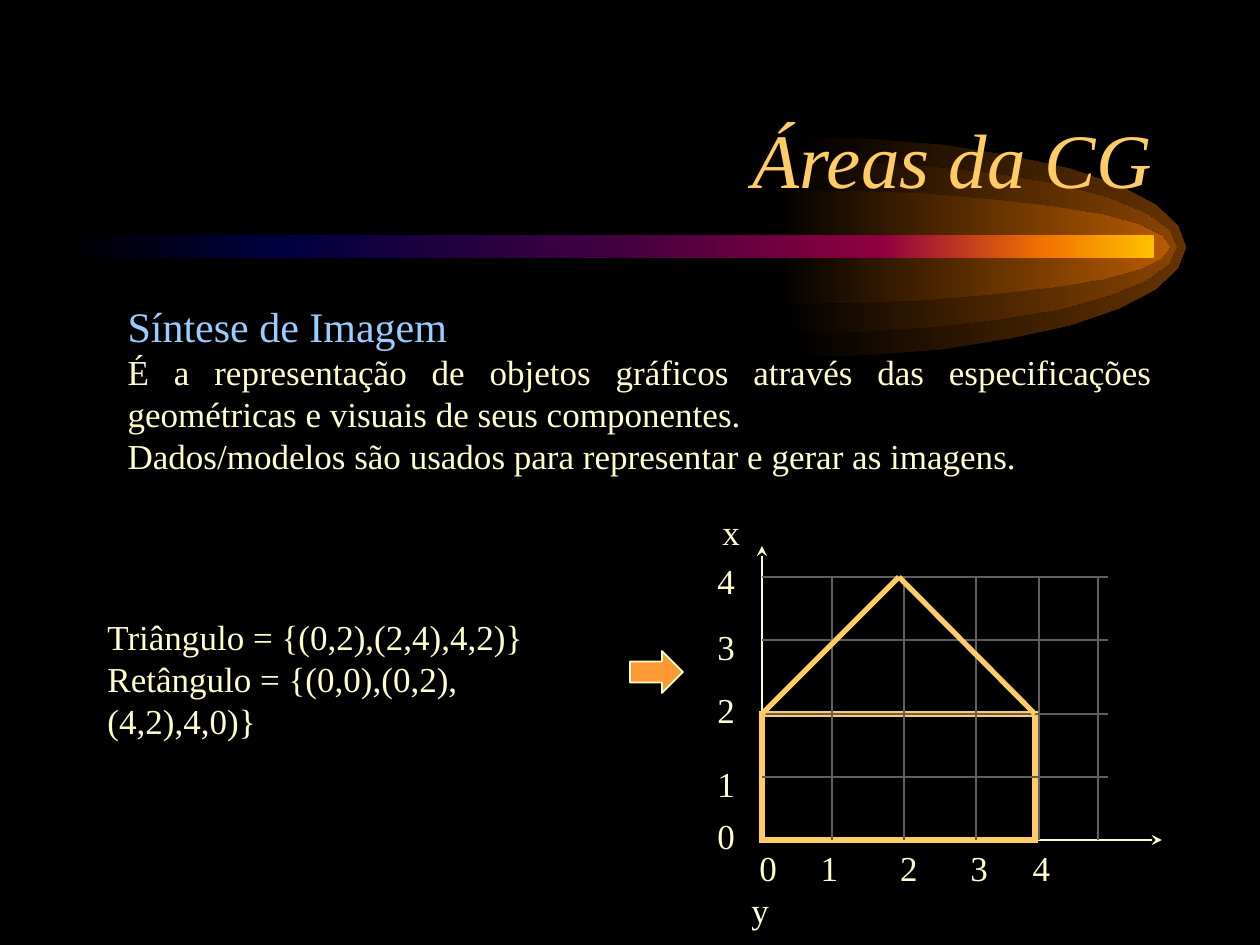
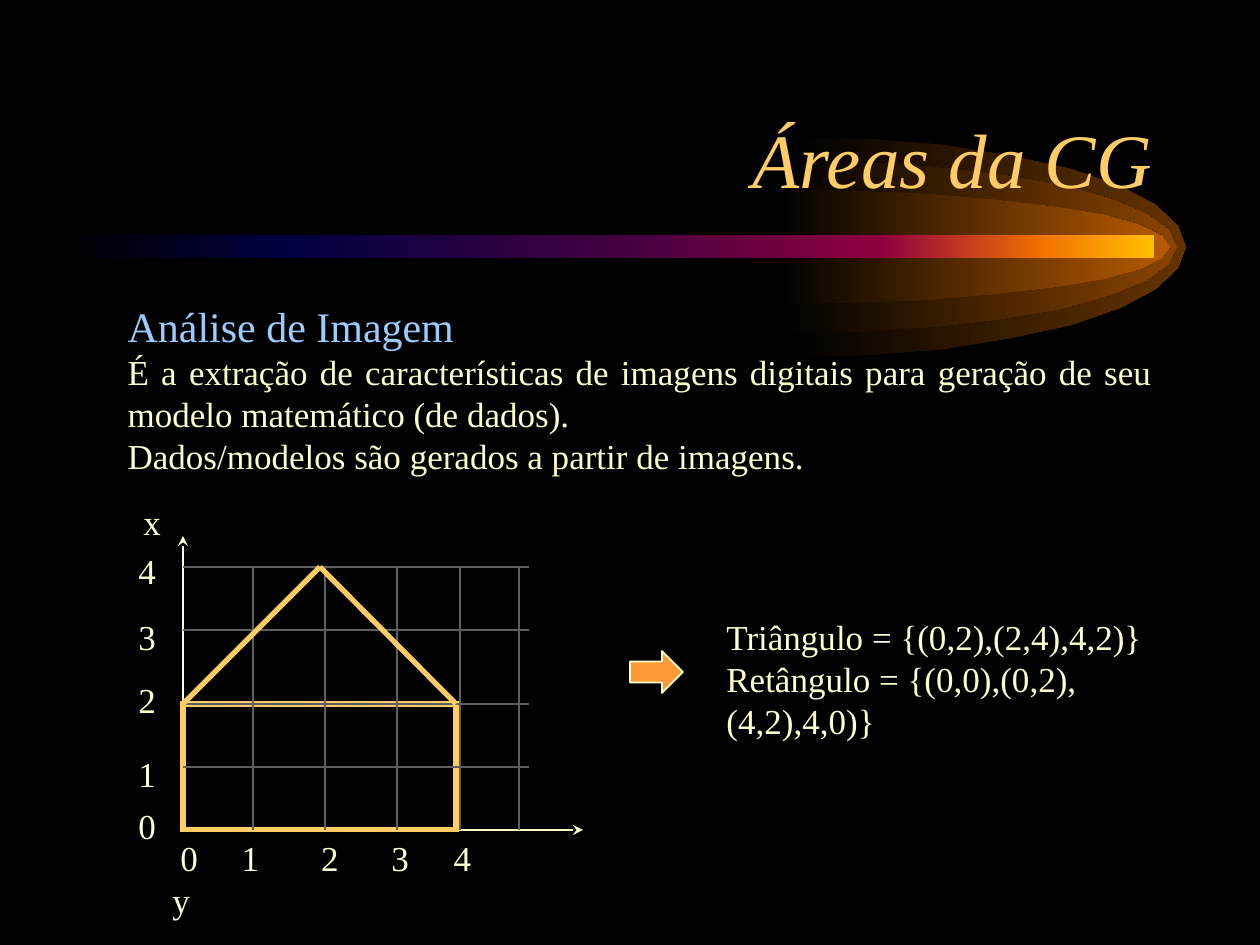
from math import cos, pi, sin

from lxml.etree import SubElement
from pptx import Presentation
from pptx.dml.color import RGBColor
from pptx.enum.shapes import MSO_CONNECTOR, MSO_SHAPE
from pptx.enum.text import MSO_ANCHOR, MSO_AUTO_SIZE, PP_ALIGN
from pptx.oxml.ns import qn
from pptx.util import Inches, Pt

PX = 7257
FONT = "Times New Roman"
BLACK = RGBColor(0x00, 0x00, 0x00)
GOLD = RGBColor(0xFF, 0xCC, 0x66)
CREAM = RGBColor(0xFF, 0xFF, 0xCC)
SKY = RGBColor(0x99, 0xCC, 0xFF)
ORANGE = RGBColor(0xFF, 0x99, 0x33)
GREY = RGBColor(0x5F, 0x5F, 0x5F)

GLOWS = [
    (792, 110, RGBColor(0x66, 0x33, 0x00)),
    (783, 87, RGBColor(0x89, 0x44, 0x00)),
    (776, 57, RGBColor(0xB7, 0x5B, 0x00)),
]
GLOW_MIDDLE, GLOW_REACH, GLOW_STEPS = 247, 394, 16
BAR_STOPS = [
    (0, BLACK),
    (20, RGBColor(0x00, 0x00, 0x40)),
    (50, RGBColor(0x40, 0x00, 0x40)),
    (75, RGBColor(0x8F, 0x00, 0x40)),
    (90, RGBColor(0xF2, 0x73, 0x00)),
    (100, RGBColor(0xFF, 0xBF, 0x00)),
]

ROWS = [63, 126, 200, 263]
COLUMNS = [70, 142, 214, 277, 336]
HOUSE_WIDTH, WALL_HEIGHT = 273, 126
ROOF = [(0, -126), (137, -263), (273, -126)]
AXIS_LABELS = [
    ("x", -52, -336), ("4", -57, -287), ("3", -57, -221),
    ("2", -57, -158), ("1", -57, -84), ("0", -57, -32),
]
DIGIT_STEPS = [61, 79, 70, 62]
DIGIT_AND_SPACE = 26
FACTS = "Triângulo = {(0,2),(2,4),4,2)}\nRetângulo = {(0,0),(0,2),(4,2),4,0)}"

SLIDES = [
    {
        "topic": "Síntese de Imagem",
        "lines": [
            "É a representação de objetos gráficos através das especificações "
            "geométricas e visuais de seus componentes.",
            "Dados/modelos são usados para representar e gerar as imagens.",
        ],
        "facts_left": 95,
        "origin": (762, 840),
    },
    {
        "topic": "Análise de Imagem",
        "lines": [
            "É a extração de características de imagens digitais para geração "
            "de seu modelo matemático (de dados).",
            "Dados/modelos são gerados a partir de imagens.",
        ],
        "facts_left": 714,
        "origin": (183, 830),
    },
]


def style_text(para, size, color):
    para.font.name = FONT
    para.font.size = Pt(size)
    para.font.color.rgb = color


def draw_line(page, start, end, color, width, arrow=False):
    connector = page.shapes.add_connector(
        MSO_CONNECTOR.STRAIGHT, *(value * PX for value in (*start, *end)))
    connector.line.color.rgb = color
    connector.line.width = Pt(width)
    properties = connector._element.spPr
    if arrow:
        SubElement(properties.find(qn("a:ln")), qn("a:tailEnd"), type="stealth")
    SubElement(properties, qn("a:effectLst"))


deck = Presentation()
deck.slide_width, deck.slide_height = Inches(10), Inches(7.5)
master = deck.slide_master
master.background.fill.solid()
master.background.fill.fore_color.rgb = BLACK
layout = deck.slide_layouts[1]
frames = [(94, 52, 1071, 158), (115, 294, 1050, 189)]
for holder, frame in zip(layout.placeholders, frames):
    holder.left, holder.top, holder.width, holder.height = (value * PX for value in frame)
pages = [deck.slides.add_slide(layout) for _ in SLIDES]

decorations = []
for center, radius, color in GLOWS:
    angles = [pi * (step / GLOW_STEPS - 0.5) for step in range(GLOW_STEPS + 1)]
    points = [(center + GLOW_REACH * cos(angle), GLOW_MIDDLE + radius * sin(angle))
              for angle in angles]
    builder = pages[0].shapes.build_freeform(*points[0], scale=PX)
    builder.add_line_segments(points[1:], close=True)
    decorations.append((builder.convert_to_shape(), [(0, BLACK), (100, color)]))
bar = pages[0].shapes.add_shape(
    MSO_SHAPE.ROUNDED_RECTANGLE, 63 * PX, 235 * PX, 1091 * PX, 23 * PX)
bar.adjustments[0] = 0.11
decorations.append((bar, BAR_STOPS))

for order, (shape, stops) in enumerate(decorations):
    shape.shadow.inherit = False
    shape.line.fill.background()
    shape.fill.gradient()
    shape.fill.gradient_angle = 0
    stop_list = shape._element.spPr.find(".//" + qn("a:gsLst"))
    stop_list.clear()
    for position, color in stops:
        stop = SubElement(stop_list, qn("a:gs"), pos=str(position * 1000))
        SubElement(stop, qn("a:srgbClr"), val=str(color))
    shape._element.nvSpPr.cNvPr.set("id", str(100 + order))
    master.shapes._spTree.insert(2 + order, shape._element)

for page, content in zip(pages, SLIDES):
    title = page.shapes.title.text_frame
    title.text = "Áreas da CG"
    title.auto_size = MSO_AUTO_SIZE.NONE
    title.vertical_anchor = MSO_ANCHOR.BOTTOM
    heading = title.paragraphs[0]
    heading.alignment = PP_ALIGN.RIGHT
    heading.font.italic = True
    style_text(heading, 44, GOLD)

    body = page.placeholders[1].text_frame
    body.text = "\n".join([content["topic"], *content["lines"]])
    body.auto_size = MSO_AUTO_SIZE.NONE
    for index, para in enumerate(body.paragraphs):
        para.alignment = PP_ALIGN.JUSTIFY
        para.space_before = Pt(0)
        properties = para._p.get_or_add_pPr()
        properties.set("marL", "0")
        properties.set("indent", "0")
        SubElement(properties, qn("a:buNone"))
        style_text(para, *((20, CREAM) if index else (24, SKY)))

    x, y = content["origin"]
    draw_line(page, (x, y), (x + 400, y), CREAM, 1, arrow=True)
    draw_line(page, (x, y), (x, y - 294), CREAM, 1, arrow=True)
    wall = page.shapes.add_shape(
        MSO_SHAPE.RECTANGLE, x * PX, (y - WALL_HEIGHT) * PX,
        HOUSE_WIDTH * PX, WALL_HEIGHT * PX)
    wall.shadow.inherit = False
    wall.fill.background()
    wall.line.color.rgb = GOLD
    wall.line.width = Pt(3)
    SubElement(wall._element.spPr.find(qn("a:ln")), qn("a:miter"), lim="800000")
    for row in ROWS:
        draw_line(page, (x, y - row), (x + 346, y - row), GREY, 1)
    for column in COLUMNS:
        draw_line(page, (x + column, y - ROWS[-1]), (x + column, y), GREY, 1)
    for start, end in zip(ROOF, ROOF[1:]):
        draw_line(page, (x + start[0], y + start[1]), (x + end[0], y + end[1]), GOLD, 3)

    texts = [
        (FACTS, content["facts_left"], 609, 523, 97),
        *((label, x + left, y + top, 43, 54) for label, left, top in AXIS_LABELS),
    ]
    for text, *frame in texts:
        box = page.shapes.add_textbox(*(value * PX for value in frame))
        box.text_frame.word_wrap = True
        box.text_frame.text = text
        for para in box.text_frame.paragraphs:
            style_text(para, 20, CREAM)

    scale_box = page.shapes.add_textbox((x - 23) * PX, y * PX, 437 * PX, 54 * PX)
    scale_box.text_frame.word_wrap = True
    scale_para = scale_box.text_frame.paragraphs[0]
    properties = scale_para._p.get_or_add_pPr()
    properties.set("marL", "0")
    properties.set("indent", str(8 * PX))
    style_text(scale_para, 20, CREAM)
    for digit, step in enumerate(DIGIT_STEPS):
        scale_para.add_run().text = str(digit)
        space = scale_para.add_run()
        space.text = " "
        spacing = Pt((step - DIGIT_AND_SPACE) * PX / Pt(1))
        space.font._element.set("spc", str(round(spacing.pt * 100)))
    scale_para.add_run().text = str(len(DIGIT_STEPS))
    scale_para.add_line_break()
    scale_para.add_run().text = "y"

    arrow = page.shapes.add_shape(
        MSO_SHAPE.RIGHT_ARROW, 630 * PX, 651 * PX, 53 * PX, 42 * PX)
    arrow.shadow.inherit = False
    arrow.fill.solid()
    arrow.fill.fore_color.rgb = ORANGE
    arrow.line.color.rgb = CREAM
    arrow.line.width = Pt(1)

deck.save("out.pptx")
